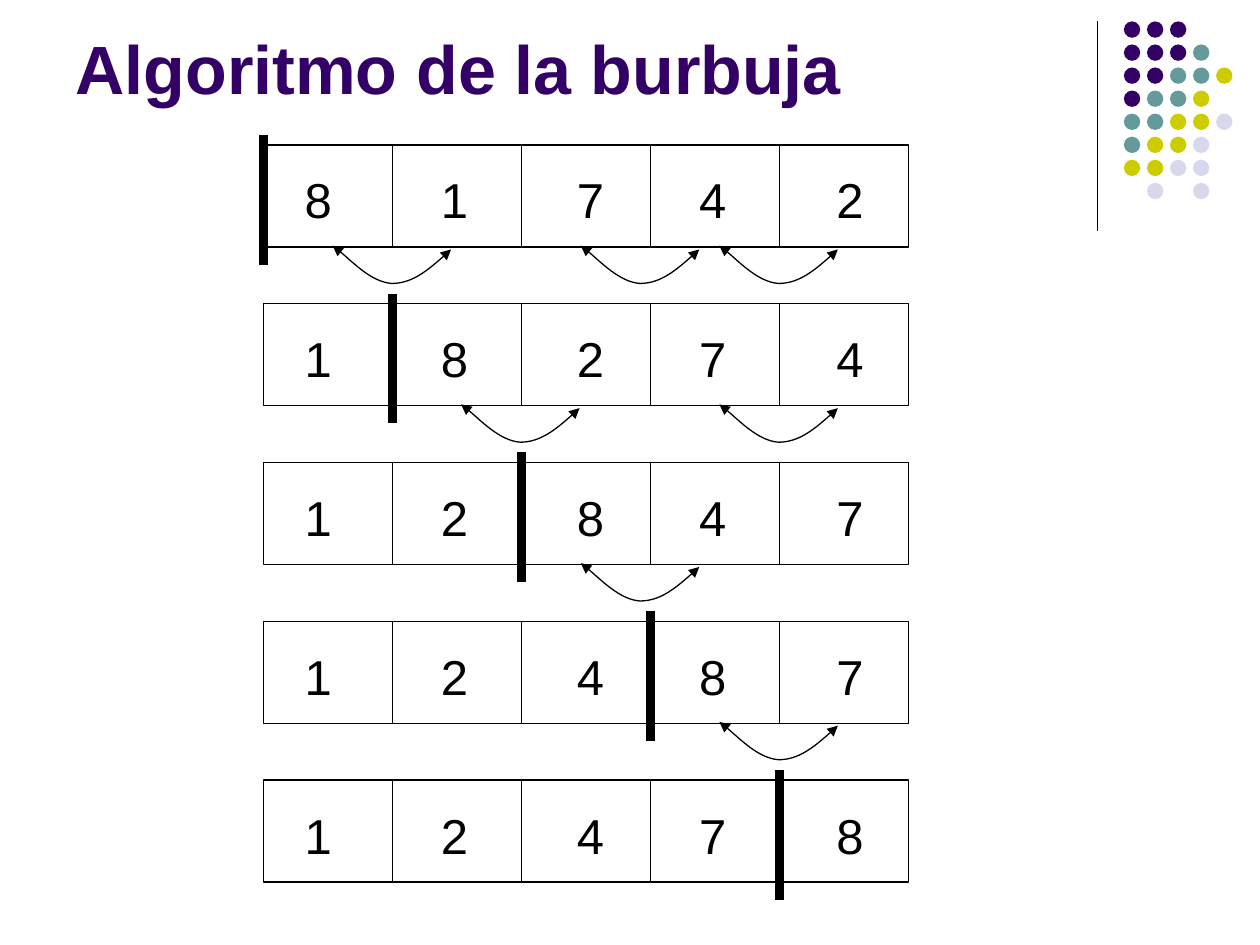
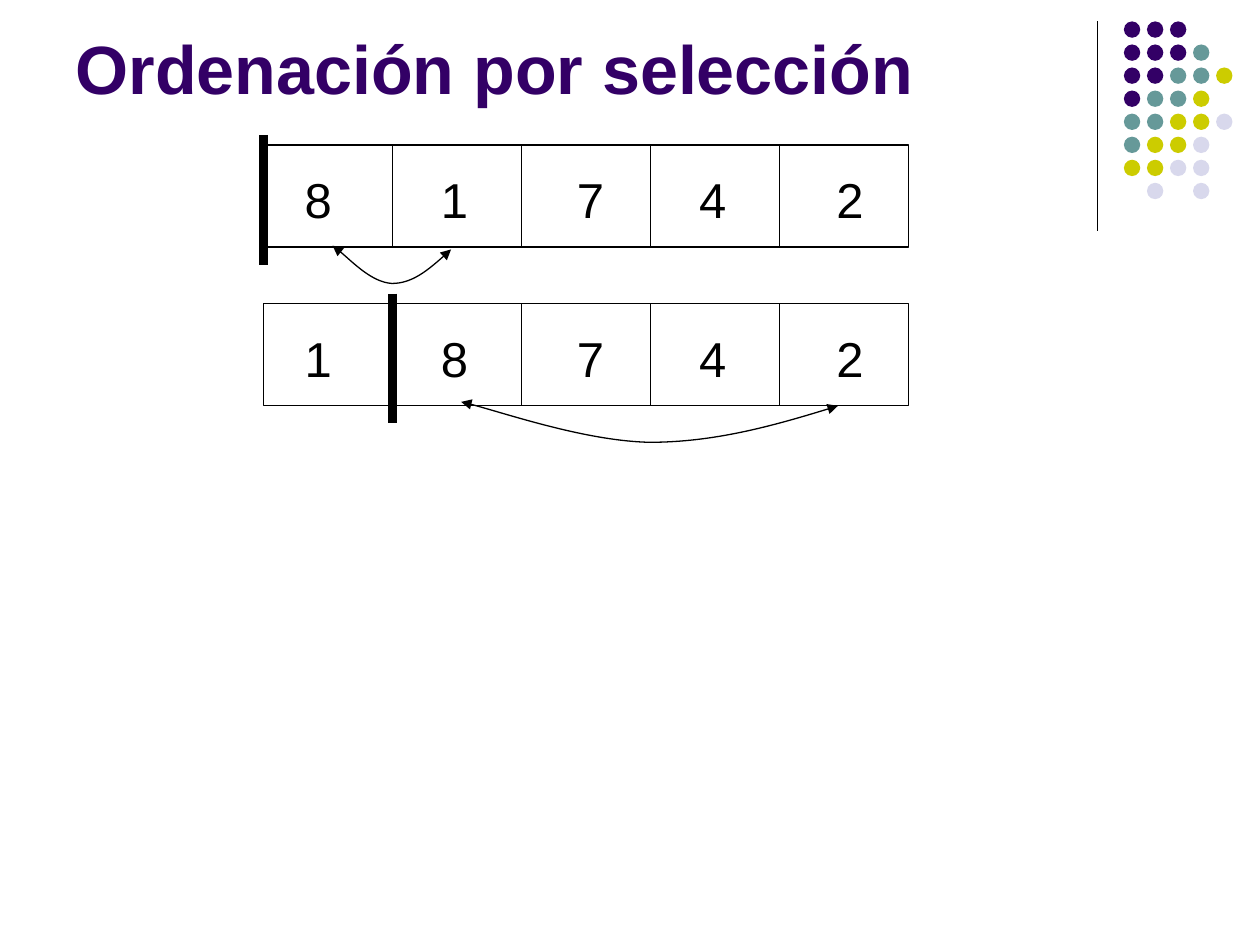
from dataclasses import dataclass

from lxml import etree
from pptx import Presentation
from pptx.dml.color import RGBColor
from pptx.enum.shapes import MSO_CONNECTOR, MSO_SHAPE
from pptx.enum.text import MSO_ANCHOR, MSO_AUTO_SIZE, PP_ALIGN
from pptx.oxml.ns import qn
from pptx.util import Inches, Pt

STRAIGHT = MSO_CONNECTOR.STRAIGHT
ELLIPSE, RECTANGLE = MSO_SHAPE.OVAL, MSO_SHAPE.RECTANGLE
TOP, BOTTOM = MSO_ANCHOR.TOP, MSO_ANCHOR.BOTTOM
NO_FIT, GROW = MSO_AUTO_SIZE.NONE, MSO_AUTO_SIZE.SHAPE_TO_FIT_TEXT
LEFT = PP_ALIGN.LEFT


@dataclass(frozen=True)
class Theme:
    font: str = "Arial"
    title_size: float = 39
    digit_size: float = 28
    thin: float = 0.75
    thick: float = 5
    ink: str = "000000"
    purple: str = "330066"
    teal: str = "669999"
    olive: str = "CCCC00"
    lilac: str = "D8D8EC"


THEME = Theme()
DOT_COLORS = {"P": THEME.purple, "T": THEME.teal, "O": THEME.olive, "L": THEME.lilac}
DOT_ROWS = ("PPP", "PPPT", "PPTTO", "PTTO", "TTOOL", "TOOL", "OOLL", "-L-L")
DOT_LEFT, DOT_TOP, DOT_PITCH, DOT_SIZE = 8.92, 0.17, 0.183, 0.13

ARRAY_LEFT, ARRAY_TOP, ARRAY_WIDTH, ARRAY_HEIGHT = 2.09, 1.15, 5.12, 0.81
ARRAY_PITCH = 1.26
CELL_WIDTH = ARRAY_WIDTH / 5
DIGIT_TABS = (1.08, 2.16, 3.13, 4.22)

ARC_STARTS = (2.64, 3.66, 4.61, 5.71)
ARC_WIDTH, ARC_DEPTH = 0.94, 0.29
ARC_PROFILE = ((1, 0.02), (0.84, 0.16), (0.67, 0.29), (0.5, 0.29),
               (0.33, 0.28), (0.08, 0.04), (0, -0.01))


def rgb(color):
    return RGBColor.from_string(color)


def set_line(sp, width):
    sp.line.color.rgb = rgb(THEME.ink)
    sp.line.width = Pt(width)


def write_text(sp, text, size, color, bold=False, anchor=TOP, fit=NO_FIT, tabs=()):
    tf = sp.text_frame
    tf.word_wrap = True
    tf.auto_size = fit
    tf.vertical_anchor = anchor
    tf.margin_left = tf.margin_right = Inches(0.1)
    tf.margin_top = tf.margin_bottom = Inches(0.05)
    p = tf.paragraphs[0]
    p.alignment = LEFT
    if tabs:
        tab_list = etree.SubElement(p._p.get_or_add_pPr(), qn("a:tabLst"))
        for pos in tabs:
            etree.SubElement(tab_list, qn("a:tab"), pos=str(Inches(pos)), algn="l")
    r = p.add_run()
    r.text = text
    r.font.name = THEME.font
    r.font.size = Pt(size)
    r.font.bold = bold
    r.font.color.rgb = rgb(color)


def add_line(shapes, x1, y1, x2, y2, width=THEME.thin):
    line = shapes.add_connector(STRAIGHT, Inches(x1), Inches(y1), Inches(x2), Inches(y2))
    set_line(line, width)
    etree.SubElement(line._element.spPr, qn("a:effectLst"))


def add_dots(shapes):
    for row, codes in enumerate(DOT_ROWS):
        for col, code in enumerate(codes):
            if code not in DOT_COLORS:
                continue
            dot = shapes.add_shape(
                ELLIPSE, Inches(DOT_LEFT + col * DOT_PITCH),
                Inches(DOT_TOP + row * DOT_PITCH), Inches(DOT_SIZE), Inches(DOT_SIZE))
            dot.shadow.inherit = False
            dot.fill.solid()
            dot.fill.fore_color.rgb = rgb(DOT_COLORS[code])
            dot.line.fill.background()


def add_slide(prs, title):
    slide = prs.slides.add_slide(prs.slide_layouts[5])
    add_line(slide.shapes, 8.71, 0.17, 8.71, 1.83)
    add_dots(slide.shapes.add_group_shape().shapes)
    sp = slide.shapes.title
    sp.left, sp.top = Inches(0.5), Inches(0.13)
    sp.width, sp.height = Inches(8.25), Inches(0.78)
    write_text(sp, title, THEME.title_size, THEME.purple, bold=True, anchor=BOTTOM)
    return slide


def curve_segments(sp):
    path = next(sp._element.iter(qn("a:path")))
    segments = path.findall(qn("a:lnTo"))
    for i in range(0, len(segments), 3):
        curve = etree.SubElement(path, qn("a:cubicBezTo"))
        for segment in segments[i:i + 3]:
            curve.append(segment[0])
            path.remove(segment)


def add_swap_arc(shapes, x1, x2, bottom, lift=0):
    points = [(Inches(x1 + f * (x2 - x1)), Inches(bottom + y - lift * (1 - y / ARC_DEPTH)))
              for f, y in ARC_PROFILE]
    builder = shapes.build_freeform(*points[0])
    builder.add_line_segments(points[1:], close=False)
    arc = builder.convert_to_shape()
    curve_segments(arc)
    arc.shadow.inherit = False
    arc.fill.background()
    set_line(arc, THEME.thin)
    for end in ("a:headEnd", "a:tailEnd"):
        etree.SubElement(arc.line._get_or_add_ln(), qn(end), type="triangle")


def add_array(slide, step, digits, swaps=()):
    shapes = slide.shapes.add_group_shape().shapes
    top = ARRAY_TOP + step * ARRAY_PITCH
    bottom = top + ARRAY_HEIGHT
    frame = shapes.add_shape(RECTANGLE, Inches(ARRAY_LEFT), Inches(top),
                             Inches(ARRAY_WIDTH), Inches(ARRAY_HEIGHT))
    frame.shadow.inherit = False
    frame.fill.background()
    set_line(frame, THEME.thin)
    for cell in range(1, 5):
        x = ARRAY_LEFT + cell * CELL_WIDTH
        add_line(shapes, x, top, x, bottom)
    box = shapes.add_textbox(Inches(2.32), Inches(top + 0.15), Inches(4.72), Inches(0.57))
    write_text(box, "\t".join(digits), THEME.digit_size, THEME.ink,
               fit=GROW, tabs=DIGIT_TABS)
    for first, last in swaps:
        end = ARC_STARTS[last - 1] + ARC_WIDTH
        lift = 0.02 if last - first > 1 else 0
        add_swap_arc(shapes, ARC_STARTS[first], end, bottom, lift)
    sorted_edge = ARRAY_LEFT + step * CELL_WIDTH
    add_line(shapes, sorted_edge, top - 0.08, sorted_edge, top + 0.95, THEME.thick)


def add_sort_slide(prs, title, steps):
    slide = add_slide(prs, title)
    for step, (digits, swaps) in enumerate(steps):
        add_array(slide, step, digits, swaps)


def main():
    prs = Presentation()
    prs.slide_width, prs.slide_height = Inches(10), Inches(7.5)
    add_sort_slide(prs, "Algoritmo de la burbuja", (
        ("81742", ((0, 1), (3, 4), (2, 3))),
        ("18274", ((1, 2), (3, 4))),
        ("12847", ((2, 3),)),
        ("12487", ((3, 4),)),
        ("12478", ()),
    ))
    add_sort_slide(prs, "Ordenación por selección", (
        ("81742", ((0, 1),)),
        ("18742", ((1, 4),)),
    ))
    prs.save("out.pptx")


if __name__ == "__main__":
    main()
